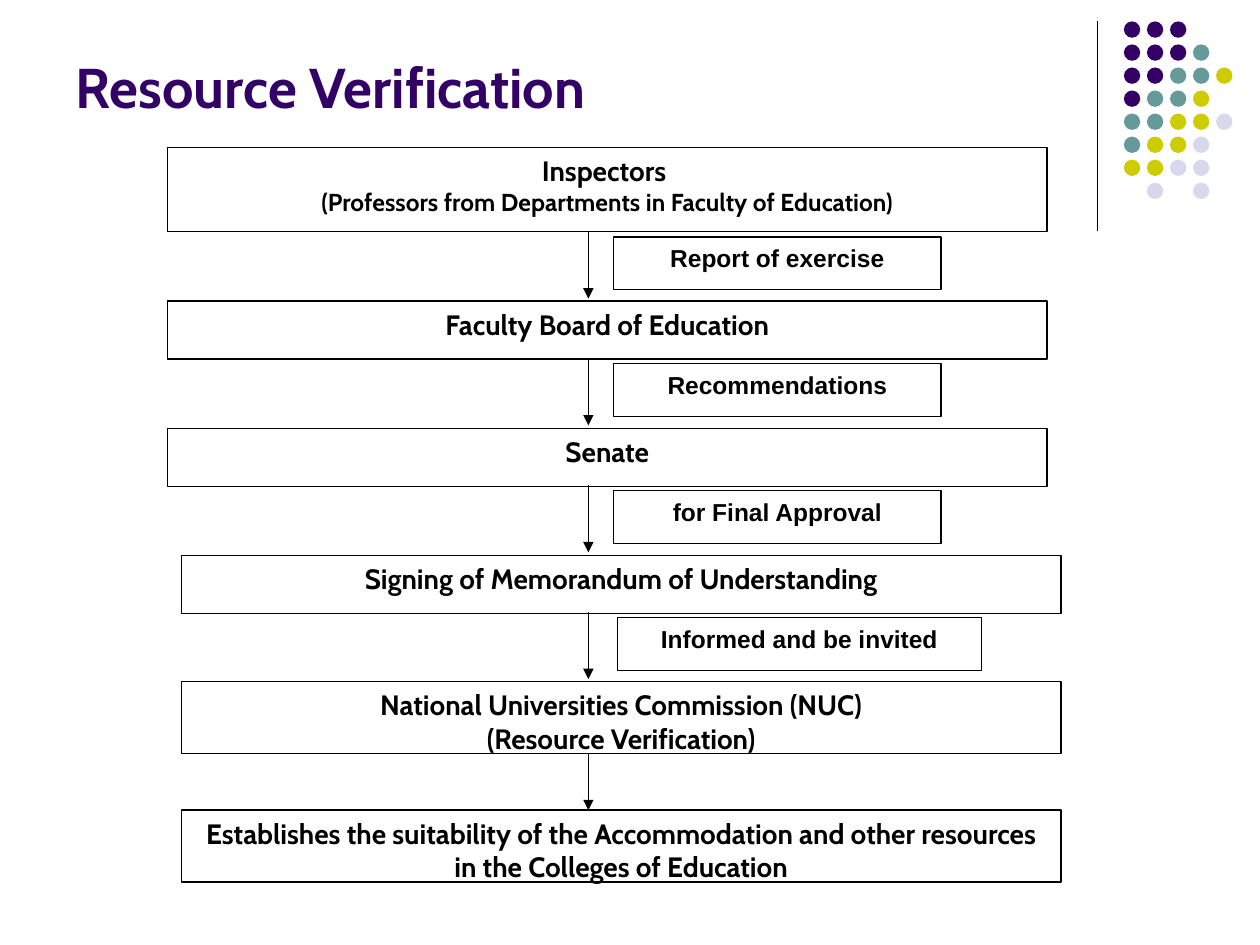
from lxml.etree import SubElement
from pptx import Presentation
from pptx.dml.color import RGBColor
from pptx.enum.shapes import MSO_CONNECTOR, MSO_SHAPE
from pptx.enum.text import MSO_ANCHOR, PP_ALIGN
from pptx.oxml.ns import qn
from pptx.util import Inches, Pt


def rgb(value):
    return RGBColor.from_string(value)


class SlideBuilder:
    heading_font = "Cabin"
    label_font = "Arial"
    ink = "000000"
    accent = "330066"
    line_width = 0.75

    def __init__(self, prs):
        self.slide = prs.slides.add_slide(prs.slide_layouts[5])

    def style_text(self, tf, font, sizes, color, align):
        for p, size in zip(tf.paragraphs, sizes):
            p.alignment = align
            for r in p.runs:
                r.font.name = font
                r.font.size = Pt(size)
                r.font.bold = True
                r.font.color.rgb = rgb(color)

    def title(self, text, left, top, width, height):
        sp = self.slide.shapes.title
        sp.left, sp.top = Inches(left), Inches(top)
        sp.width, sp.height = Inches(width), Inches(height)
        tf = sp.text_frame
        tf.text = text
        tf.word_wrap = True
        tf.vertical_anchor = MSO_ANCHOR.BOTTOM
        self.style_text(tf, self.heading_font, [32], self.accent, PP_ALIGN.LEFT)

    def box(self, text, left, top, width, height, font, sizes):
        sp = self.slide.shapes.add_shape(
            MSO_SHAPE.RECTANGLE, Inches(left), Inches(top), Inches(width), Inches(height))
        sp.shadow.inherit = False
        sp.fill.background()
        sp.line.color.rgb = rgb(self.ink)
        sp.line.width = Pt(self.line_width)
        tf = sp.text_frame
        tf.text = text
        tf.word_wrap = True
        tf.vertical_anchor = MSO_ANCHOR.TOP
        self.style_text(tf, font, sizes, self.ink, PP_ALIGN.CENTER)

    def stage(self, text, left, top, height, sizes=(16, 16)):
        self.box(text, left, top, 6.98, height, self.heading_font, sizes)

    def label(self, text, left, top, width):
        self.box(text, left, top, width, 0.42, self.label_font, [14])

    def vertical_line(self, x, top, bottom, arrow=False):
        line = self.slide.shapes.add_connector(
            MSO_CONNECTOR.STRAIGHT, Inches(x), Inches(top), Inches(x), Inches(bottom))
        line.line.color.rgb = rgb(self.ink)
        line.line.width = Pt(self.line_width)
        if arrow:
            SubElement(line.line._get_or_add_ln(), qn("a:tailEnd"), type="triangle")
        SubElement(line._element.spPr, qn("a:effectLst"))

    def dot_grid(self, rows, colors, left, top, pitch, size):
        group = self.slide.shapes.add_group_shape()
        for i, row in enumerate(rows):
            for j, key in enumerate(row):
                if key not in colors:
                    continue
                dot = group.shapes.add_shape(
                    MSO_SHAPE.OVAL, Inches(left + j * pitch), Inches(top + i * pitch),
                    Inches(size), Inches(size))
                dot.shadow.inherit = False
                dot.fill.solid()
                dot.fill.fore_color.rgb = rgb(colors[key])
                dot.line.fill.background()


def main():
    prs = Presentation()
    prs.slide_width, prs.slide_height = Inches(10), Inches(7.5)
    s = SlideBuilder(prs)

    s.vertical_line(8.71, 0.17, 1.83)
    dot_colors = {"P": s.accent, "T": "669999", "Y": "CCCC00", "L": "D8D8EC"}
    dot_rows = ["PPP", "PPPT", "PPTTY", "PTTY", "TTYYL", "TYYL", "YYLL", ".L.L"]
    s.dot_grid(dot_rows, dot_colors, 8.92, 0.17, 1.28 / 7, 0.13)

    s.title("Resource Verification", 0.5, 0.33, 5.67, 0.67)

    s.stage("Inspectors \n(Professors from Departments in Faculty of Education)",
            1.33, 1.17, 0.67, (16, 14))
    s.stage("Faculty Board of Education", 1.33, 2.39, 0.46)
    s.stage("Senate", 1.33, 3.4, 0.46)
    s.stage("Signing of Memorandum of Understanding", 1.44, 4.41, 0.46)
    s.stage("National Universities Commission (NUC)\n(Resource Verification)", 1.44, 5.41, 0.57)
    s.stage("Establishes the suitability of the Accommodation and other resources "
            "in the Colleges of Education", 1.44, 6.43, 0.57)

    arrow_x = 4.67
    labels = [
        ("Report of exercise", 4.87, 2.6),
        ("Recommendations", 4.87, 2.6),
        ("for Final Approval", 4.87, 2.6),
        ("Informed and be invited", 4.9, 2.89),
    ]
    for i, (text, left, width) in enumerate(labels):
        top = 1.84 + i * 3.02 / 3
        s.vertical_line(arrow_x, top, top + 0.53, arrow=True)
        s.label(text, left, top + 0.04, width)
    s.vertical_line(arrow_x, 5.98, 6.43, arrow=True)

    prs.save("out.pptx")


if __name__ == "__main__":
    main()
